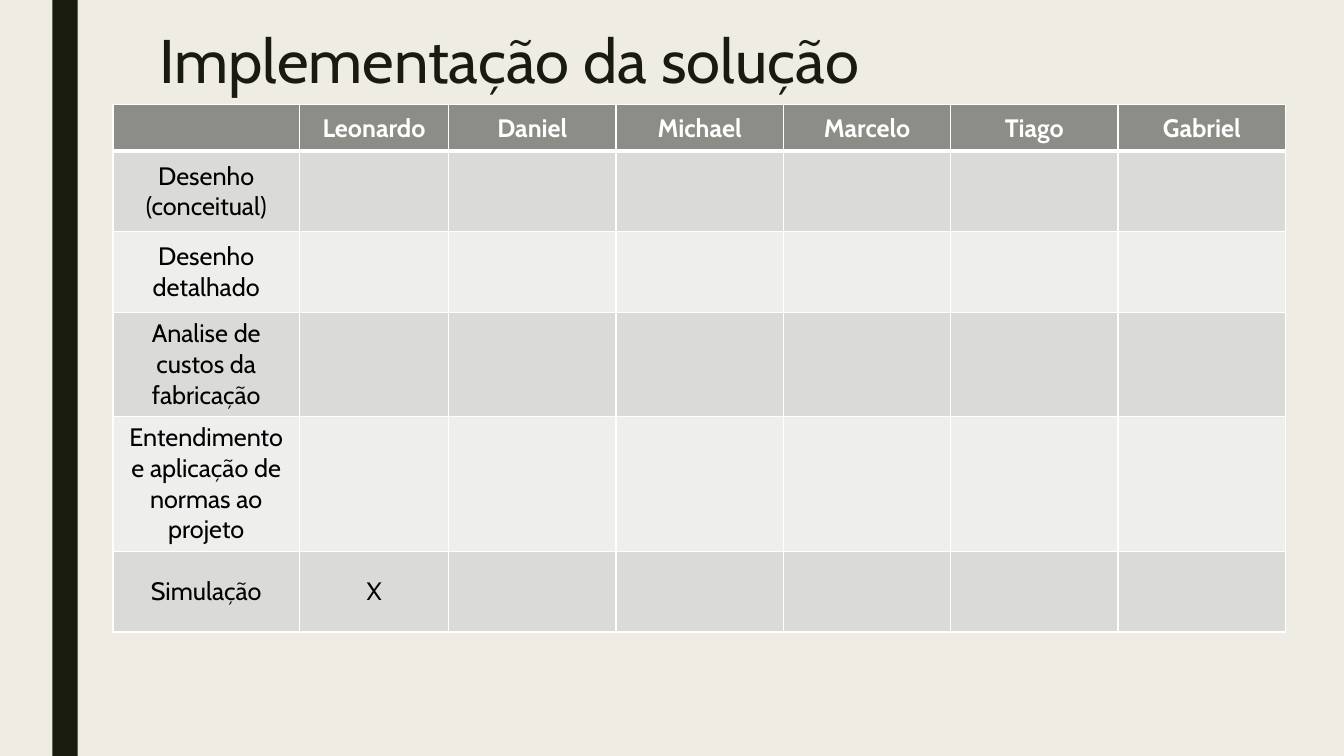
from dataclasses import dataclass

from lxml import etree
from pptx import Presentation
from pptx.dml.color import RGBColor
from pptx.enum.shapes import MSO_SHAPE
from pptx.enum.text import MSO_ANCHOR, MSO_AUTO_SIZE, PP_ALIGN
from pptx.oxml.ns import qn
from pptx.util import Inches, Pt

RECTANGLE = MSO_SHAPE.RECTANGLE
MIDDLE = MSO_ANCHOR.MIDDLE
LEFT, CENTER = PP_ALIGN.LEFT, PP_ALIGN.CENTER
NO_AUTOFIT = MSO_AUTO_SIZE.NONE
TITLE_ONLY = 5


@dataclass(frozen=True)
class Theme:
    font: str = "Cabin"
    background: str = "EFEDE3"
    dark: str = "191B0E"
    header: str = "8C8D86"
    bands: tuple = ("DADBD9", "EEEEED")
    white: str = "FFFFFF"
    black: str = "000000"
    title_size: int = 44
    table_size: int = 18
    thin: int = 1
    thick: int = 3


THEME = Theme()

MEMBERS = ["Leonardo", "Daniel", "Michael", "Marcelo", "Tiago", "Gabriel"]
# Each task with the members who are marked for it
TASKS = [
    ("Desenho (conceitual)", []),
    ("Desenho detalhado", []),
    ("Analise de custos da fabricação", []),
    ("Entendimento e aplicação de normas ao projeto", []),
    ("Simulação", ["Leonardo"]),
]
COLUMN_WIDTHS = [1.85, 1.48] + [1.66] * 5
ROW_HEIGHTS = [0.46, 0.8, 0.8, 1.03, 1.34, 0.8]


def write_text(frame, text, *, size, color, bold=False, align=LEFT, spacing=None):
    paragraph = frame.paragraphs[0]
    paragraph.alignment = align
    paragraph.line_spacing = spacing
    run = paragraph.add_run()
    run.text = text
    run.font.name = THEME.font
    run.font.size = Pt(size)
    run.font.bold = bold
    run.font.color.rgb = RGBColor.from_string(color)


def paint(fill, color):
    fill.solid()
    fill.fore_color.rgb = RGBColor.from_string(color)


def set_borders(cell, top, bottom):
    properties = cell._tc.get_or_add_tcPr()
    widths = {"L": THEME.thin, "R": THEME.thin, "T": top, "B": bottom}
    for side, width in widths.items():
        line = etree.SubElement(properties, qn(f"a:ln{side}"), w=str(Pt(width)))
        solid = etree.SubElement(line, qn("a:solidFill"))
        etree.SubElement(solid, qn("a:srgbClr"), val=THEME.white)


def add_side_bar(slide):
    bar = slide.shapes.add_shape(
        RECTANGLE, Inches(0.52), Inches(0), Inches(0.25), Inches(7.5))
    bar.shadow.inherit = False
    paint(bar.fill, THEME.dark)
    bar.line.fill.background()


def set_title(slide, text):
    title = slide.shapes.title
    title.left, title.top = Inches(1.48), Inches(0.23)
    title.width, title.height = Inches(10.5), Inches(0.81)
    frame = title.text_frame
    frame.word_wrap = True
    frame.auto_size = NO_AUTOFIT
    frame.vertical_anchor = MIDDLE
    write_text(frame, text, size=THEME.title_size, color=THEME.dark, spacing=0.89)


def add_task_table(slide):
    rows = [[""] + MEMBERS]
    for task, assigned in TASKS:
        rows.append([task] + ["X" if name in assigned else "" for name in MEMBERS])

    table = slide.shapes.add_table(
        len(rows), len(COLUMN_WIDTHS), Inches(1.12), Inches(1.04),
        Inches(sum(COLUMN_WIDTHS)), Inches(sum(ROW_HEIGHTS))).table
    for column, width in zip(table.columns, COLUMN_WIDTHS):
        column.width = Inches(width)
    for row, height in zip(table.rows, ROW_HEIGHTS):
        row.height = Inches(height)

    for r, values in enumerate(rows):
        is_header = r == 0
        fill = THEME.header if is_header else THEME.bands[(r - 1) % 2]
        top = THEME.thick if r == 1 else THEME.thin
        bottom = THEME.thick if is_header else THEME.thin
        for c, value in enumerate(values):
            cell = table.cell(r, c)
            cell.vertical_anchor = MIDDLE
            set_borders(cell, top, bottom)
            paint(cell.fill, fill)
            if value:
                write_text(cell.text_frame, value, size=THEME.table_size,
                           color=THEME.white if is_header else THEME.black,
                           bold=is_header, align=CENTER)


def main():
    presentation = Presentation()
    presentation.slide_width = Inches(13.33)
    presentation.slide_height = Inches(7.5)
    slide = presentation.slides.add_slide(presentation.slide_layouts[TITLE_ONLY])
    paint(slide.background.fill, THEME.background)

    add_side_bar(slide)
    set_title(slide, "Implementação da solução")
    add_task_table(slide)
    presentation.save("out.pptx")


if __name__ == "__main__":
    main()
